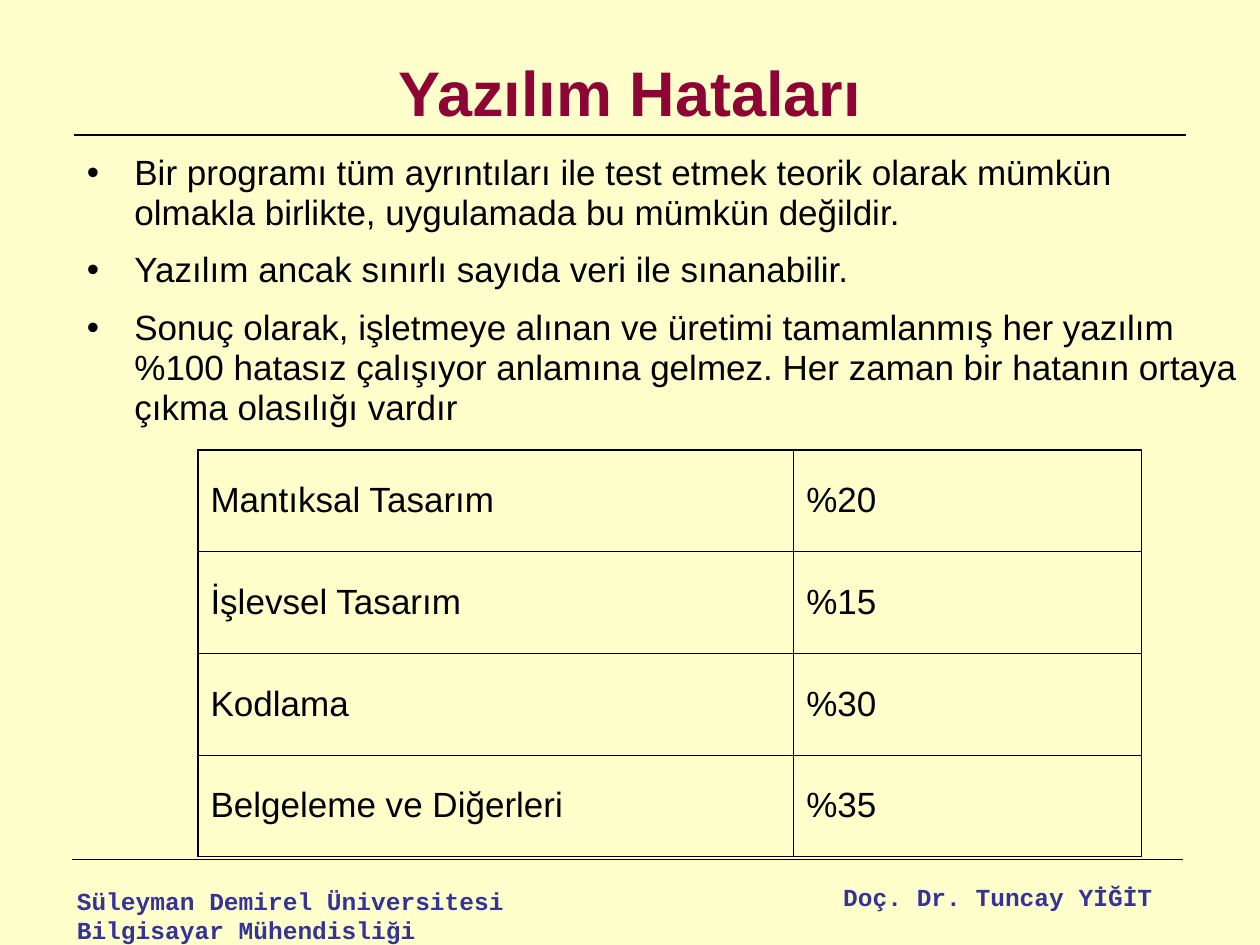
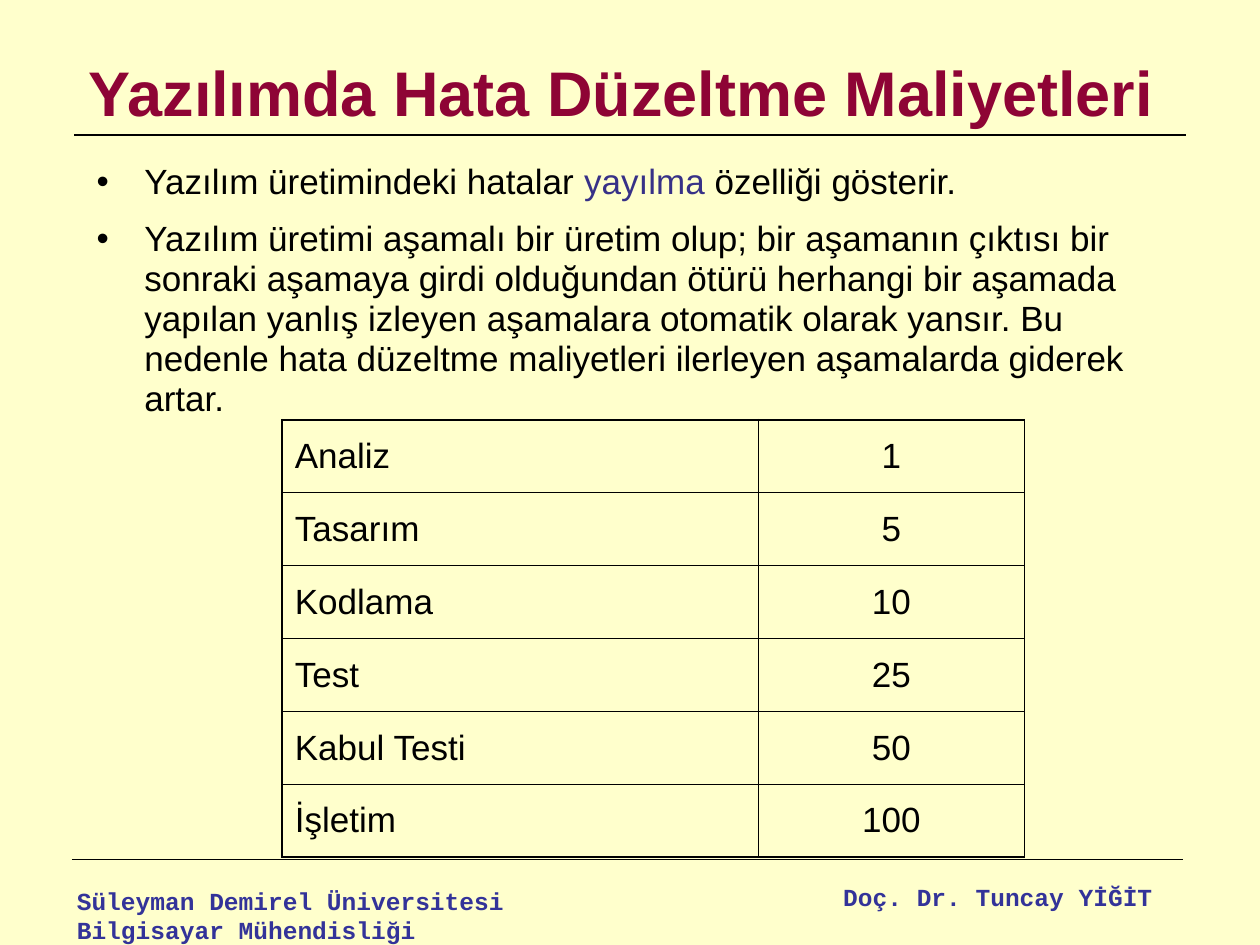
from lxml import etree
from pptx import Presentation
from pptx.dml.color import RGBColor
from pptx.enum.shapes import MSO_CONNECTOR
from pptx.enum.text import MSO_ANCHOR, PP_ALIGN
from pptx.oxml.ns import qn
from pptx.util import Cm, Pt

LEFT, CENTER, RIGHT = PP_ALIGN.LEFT, PP_ALIGN.CENTER, PP_ALIGN.RIGHT
TOP, MIDDLE = MSO_ANCHOR.TOP, MSO_ANCHOR.MIDDLE
STRAIGHT = MSO_CONNECTOR.STRAIGHT

PAPER, INK, ACCENT = "FFFFCC", "000000", "373187"
TITLE_FONT = {"name": "Arial", "size": Pt(36), "bold": True, "color": "8E0435"}
BODY_FONT = {"name": "Arial", "size": Pt(20), "bold": False, "color": INK}
FOOTER_FONT = {"name": "Courier New", "size": Pt(14), "bold": True, "color": "333399"}
BULLET_FORMAT = {"line_spacing": 0.95, "space_before": Pt(10)}
BULLET_INDENT = Cm(0.96)
OUTER_BORDER, INNER_BORDER = Pt(1.08), Pt(0.45)

# Boxes are left, top, width, height in centimetres.
TITLE_BOX = (1.27, 0.76, 22.86, 2.16)
RULES = [(1.5, 2.72), (1.45, 17.32)]
RULE_LENGTH = 22.4
FOOTERS = [
    ("Süleyman Demirel Üniversitesi Bilgisayar Mühendisliği",
     (1.3, 17.73, 10.8, 1.45), LEFT),
    ("Doç. Dr. Tuncay YİĞİT", (15.9, 17.65, 7.59, 0.86), RIGHT),
]

# A bullet is a list of (text, colour) spans.
PAGES = [
    {
        "title": "Yazılım Hataları",
        "bullets": [
            [("Bir programı tüm ayrıntıları ile test etmek teorik olarak mümkün "
              "olmakla birlikte, uygulamada bu mümkün değildir.", INK)],
            [("Yazılım ancak sınırlı sayıda veri ile sınanabilir.", INK)],
            [("Sonuç olarak, işletmeye alınan ve üretimi tamamlanmış her yazılım "
              "%100 hatasız çalışıyor anlamına gelmez. Her zaman bir hatanın "
              "ortaya çıkma olasılığı vardır", INK)],
        ],
        "bullet_box": (1.5, 2.97, 23.71, 4.39),
        "rows": [
            ("Mantıksal Tasarım", "%20"),
            ("İşlevsel Tasarım", "%15"),
            ("Kodlama", "%30"),
            ("Belgeleme ve Diğerleri", "%35"),
        ],
        "table_place": (3.99, 9.07),
        "column_widths": (12.01, 7.01),
        "row_height": 2.05,
        "alignments": (LEFT, LEFT),
    },
    {
        "title": "Yazılımda Hata Düzeltme Maliyetleri ",
        "bullets": [
            [("Yazılım üretimindeki hatalar ", INK), ("yayılma", ACCENT),
             (" özelliği gösterir.", INK)],
            [("Yazılım üretimi aşamalı bir üretim olup; bir aşamanın çıktısı bir "
              "sonraki aşamaya girdi olduğundan ötürü herhangi bir aşamada "
              "yapılan yanlış izleyen aşamalara otomatik olarak yansır. Bu "
              "nedenle hata düzeltme maliyetleri ilerleyen aşamalarda giderek "
              "artar.", INK)],
        ],
        "bullet_box": (1.7, 3.15, 22.61, 4.39),
        "rows": [
            ("Analiz", "1"),
            ("Tasarım", "5"),
            ("Kodlama", "10"),
            ("Test", "25"),
            ("Kabul Testi", "50"),
            ("İşletim", "100"),
        ],
        "table_place": (5.69, 8.46),
        "column_widths": (9.6, 5.36),
        "row_height": 1.47,
        "alignments": (LEFT, CENTER),
    },
]


def rgb(hex_color):
    return RGBColor.from_string(hex_color)


def set_all(target, values):
    for name, value in values.items():
        setattr(target, name, value)


def add_span(para, text, font):
    span = para.add_run()
    span.text = text
    set_all(span.font, {key: font[key] for key in ("name", "size", "bold")})
    span.font.color.rgb = rgb(font["color"])


def add_text_frame(page, place, anchor=TOP):
    frame = page.shapes.add_textbox(*map(Cm, place)).text_frame
    set_all(frame, {"word_wrap": True, "vertical_anchor": anchor})
    return frame


def add_line_of_text(page, text, place, font, alignment, anchor=TOP):
    para = add_text_frame(page, place, anchor).paragraphs[0]
    para.alignment = alignment
    add_span(para, text, font)


def add_rule(page, left, top):
    rule = page.shapes.add_connector(
        STRAIGHT, Cm(left), Cm(top), Cm(left + RULE_LENGTH), Cm(top))
    rule.line.color.rgb = rgb(INK)
    rule.line.width = Pt(0.75)
    etree.SubElement(rule.element.spPr, qn("a:effectLst"))


def set_bullet(para):
    properties = para._p.get_or_add_pPr()
    properties.set("marL", str(BULLET_INDENT))
    properties.set("indent", str(-BULLET_INDENT))
    color = etree.SubElement(properties, qn("a:buClr"))
    etree.SubElement(color, qn("a:srgbClr"), val=INK)
    etree.SubElement(properties, qn("a:buFont"), typeface="Arial")
    etree.SubElement(properties, qn("a:buChar"), char="•")


def add_bullets(page, bullets, place):
    frame = add_text_frame(page, place)
    for index, spans in enumerate(bullets):
        para = frame.add_paragraph() if index else frame.paragraphs[0]
        set_all(para, BULLET_FORMAT)
        set_bullet(para)
        for text, color in spans:
            add_span(para, text, {**BODY_FONT, "color": color})


def set_borders(cell, outer_sides):
    """Draw the sides for which outer_sides (left, right, top, bottom) is true thicker."""
    properties = cell._tc.get_or_add_tcPr()
    for index, (side, is_outer) in enumerate(zip("LRTB", outer_sides)):
        width = OUTER_BORDER if is_outer else INNER_BORDER
        border = etree.Element(qn(f"a:ln{side}"), w=str(width))
        fill = etree.SubElement(border, qn("a:solidFill"))
        etree.SubElement(fill, qn("a:srgbClr"), val=INK)
        properties.insert(index, border)


def add_value_table(page, content):
    rows, widths = content["rows"], content["column_widths"]
    left, top = content["table_place"]
    height = content["row_height"]
    table = page.shapes.add_table(
        len(rows), len(widths), Cm(left), Cm(top),
        Cm(sum(widths)), Cm(height * len(rows))).table
    set_all(table, {"first_row": False, "horz_banding": False})
    for column, width in zip(table.columns, widths):
        column.width = Cm(width)
    last_row, last_column = len(rows) - 1, len(widths) - 1
    for r, texts in enumerate(rows):
        table.rows[r].height = Cm(height)
        for c, text in enumerate(texts):
            cell = table.cell(r, c)
            cell.vertical_anchor = MIDDLE
            cell.fill.background()
            set_borders(cell, (c == 0, c == last_column, r == 0, r == last_row))
            para = cell.text_frame.paragraphs[0]
            set_all(para, {"alignment": content["alignments"][c],
                           "space_before": Pt(5)})
            add_span(para, text, BODY_FONT)


def add_page(deck, content):
    page = deck.slides.add_slide(deck.slide_layouts[6])
    page.background.fill.solid()
    page.background.fill.fore_color.rgb = rgb(PAPER)
    add_value_table(page, content)
    add_bullets(page, content["bullets"], content["bullet_box"])
    for left, top in RULES:
        add_rule(page, left, top)
    add_line_of_text(page, content["title"], TITLE_BOX, TITLE_FONT, CENTER, MIDDLE)
    for text, place, alignment in FOOTERS:
        add_line_of_text(page, text, place, FOOTER_FONT, alignment)


def main():
    deck = Presentation()
    set_all(deck, {"slide_width": Cm(25.4), "slide_height": Cm(19.05)})
    for content in PAGES:
        add_page(deck, content)
    deck.save("out.pptx")


if __name__ == "__main__":
    main()
